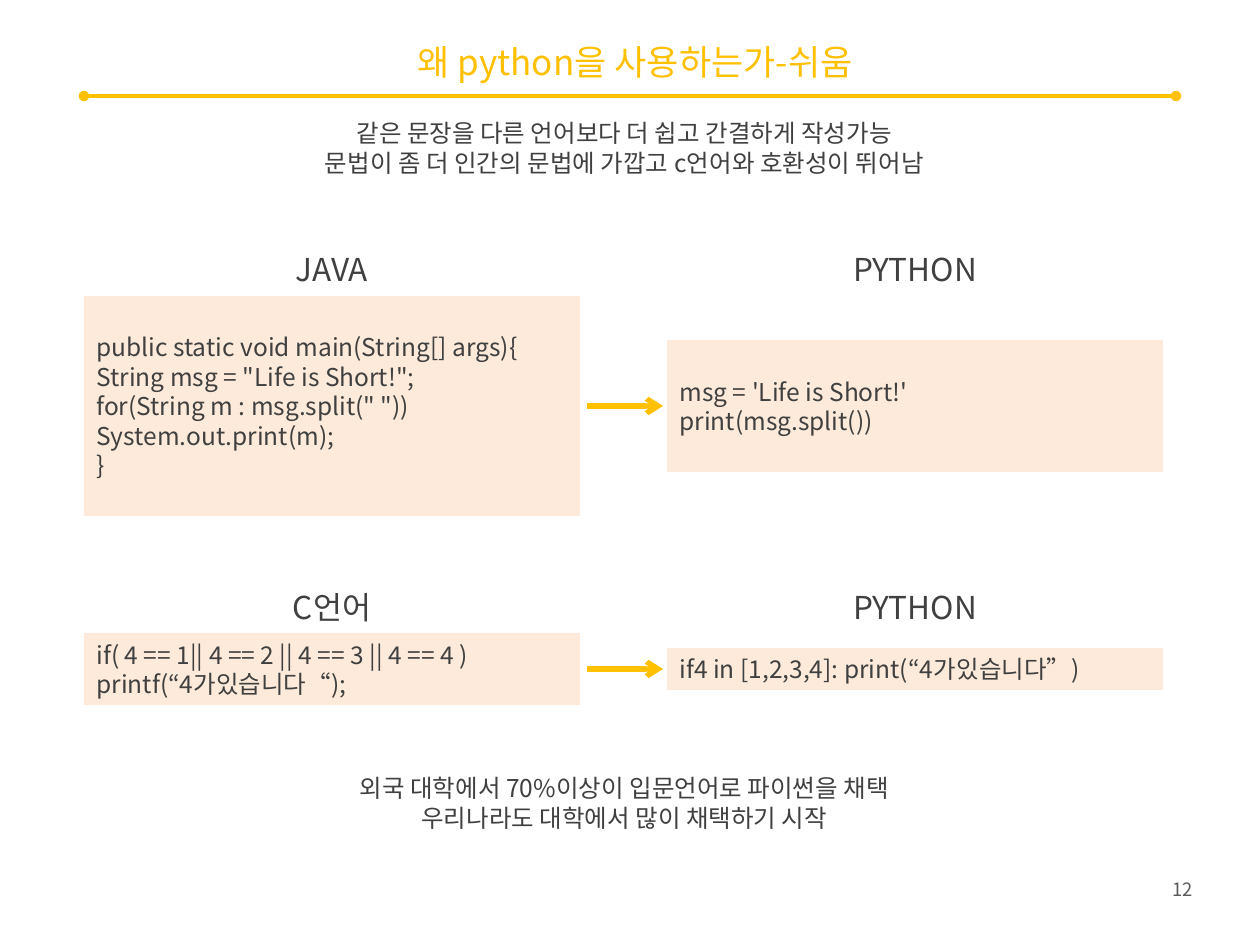
"""Build the slide that compares Java and C code with Python."""
from typing import NamedTuple

from lxml import etree
from pptx import Presentation
from pptx import util as u
from pptx.dml.color import RGBColor
from pptx.enum import shapes, text
from pptx.oxml.ns import qn

SCALE = 914400 / 126
FONT = "Noto Sans CJK KR"
COLORS = {"accent": "FFC000", "ink": "404040", "number": "595959", "box": "FDEADA"}
LEFT, CENTER, RIGHT = text.PP_ALIGN.LEFT, text.PP_ALIGN.CENTER, text.PP_ALIGN.RIGHT
BOX_W, LABEL_W, LABEL_H = 496, 218, 50
JAVA_X, PYTHON_X = 84, 667


class Code(NamedTuple):
    label: str
    lines: list[str]
    x: int
    height: int


class Comparison(NamedTuple):
    label_y: int
    middle_y: int
    codes: list[Code]


COMPARISONS = [
    Comparison(244, 406, [
        Code("JAVA", [
            "public static void main(String[] args){",
            'String msg = "Life is Short!";',
            'for(String m : msg.split(" "))',
            "System.out.print(m);",
            "}",
        ], JAVA_X, 220),
        Code("PYTHON", ["msg = 'Life is Short!'", "print(msg.split())"], PYTHON_X, 132),
    ]),
    Comparison(582, 669, [
        Code("C언어", [
            "if( 4 == 1|| 4 == 2 || 4 == 3 || 4 == 4 )",
            "printf(“4가있습니다“);",
        ], JAVA_X, 72),
        Code("PYTHON", ["if4 in [1,2,3,4]: print(“4가있습니다”)"], PYTHON_X, 42),
    ]),
]
NOTES = [
    (112, ["같은 문장을 다른 언어보다 더 쉽고 간결하게 작성가능",
           "문법이 좀 더 인간의 문법에 가깝고 c언어와 호환성이 뛰어남"]),
    (767, ["외국 대학에서 70%이상이 입문언어로 파이썬을 채택",
           "우리나라도 대학에서 많이 채택하기 시작"]),
]


def px(n: float) -> u.Emu:
    return u.Emu(round(n * SCALE))


def rgb(name: str) -> RGBColor:
    return RGBColor.from_string(COLORS[name])


def write(sp, lines: list[str], size: float, color: str, align, wrap: bool = True) -> None:
    tf = sp.text_frame
    tf.word_wrap = wrap
    tf.text = "\n".join(lines)
    for p in tf.paragraphs:
        p.alignment = align
        p.line_spacing = u.Pt(size * 1.2)
        p.font.size = u.Pt(size)
        p.font.name = FONT
        p.font.color.rgb = rgb(color)
        props = p._p.get_or_add_pPr().find(qn("a:defRPr"))
        etree.SubElement(props, qn("a:ea"), typeface=FONT)


def add_text(s, x: int, y: int, w: int, h: int, lines: list[str], size: float,
             color: str = "ink", align=CENTER, wrap: bool = True) -> None:
    sp = s.shapes.add_textbox(px(x), px(y), px(w), px(h))
    write(sp, lines, size, color, align, wrap)


def add_line(s, x1: int, x2: int, y: int, width: float, **ends: str) -> None:
    line = s.shapes.add_connector(shapes.MSO_CONNECTOR.STRAIGHT, px(x1), px(y), px(x2), px(y))
    line.line.color.rgb = rgb("accent")
    line.line.width = u.Pt(width)
    ln = line.line._get_or_add_ln()
    for end, kind in ends.items():
        etree.SubElement(ln, qn(f"a:{end}"), type=kind)
    etree.SubElement(line._element.spPr, qn("a:effectLst"))


def add_code(s, code: Code, label_y: int, middle_y: int) -> None:
    sp = s.shapes.add_shape(shapes.MSO_SHAPE.RECTANGLE, px(code.x),
                            px(middle_y - code.height / 2), px(BOX_W), px(code.height))
    sp.shadow.inherit = False
    sp.fill.solid()
    sp.fill.fore_color.rgb = rgb("box")
    sp.line.fill.background()
    sp.text_frame.vertical_anchor = text.MSO_ANCHOR.MIDDLE
    write(sp, code.lines, 14, "ink", LEFT)
    add_text(s, code.x + (BOX_W - LABEL_W) // 2, label_y, LABEL_W, LABEL_H, [code.label], 18)


def main() -> None:
    prs = Presentation()
    prs.slide_width, prs.slide_height = px(1260), px(945)
    s = prs.slides.add_slide(prs.slide_layouts[5])
    title = s.shapes.title
    title.left, title.top, title.width, title.height = px(104), px(38), px(1062), px(48)
    title.text_frame.vertical_anchor = text.MSO_ANCHOR.MIDDLE
    write(title, ["왜 python을 사용하는가-쉬움"], 20, "accent", CENTER)
    add_line(s, 84, 1176, 96, 2, headEnd="oval", tailEnd="oval")
    for y, lines in NOTES:
        add_text(s, 84, y, 1081, 72, lines, 14)
    for comparison in COMPARISONS:
        for code in comparison.codes:
            add_code(s, code, comparison.label_y, comparison.middle_y)
        add_line(s, 587, 663, comparison.middle_y, 3, tailEnd="arrow")
    add_text(s, 1130, 872, 75, 36, ["12"], 10.5, "number", RIGHT, wrap=False)
    prs.save("out.pptx")


if __name__ == "__main__":
    main()
